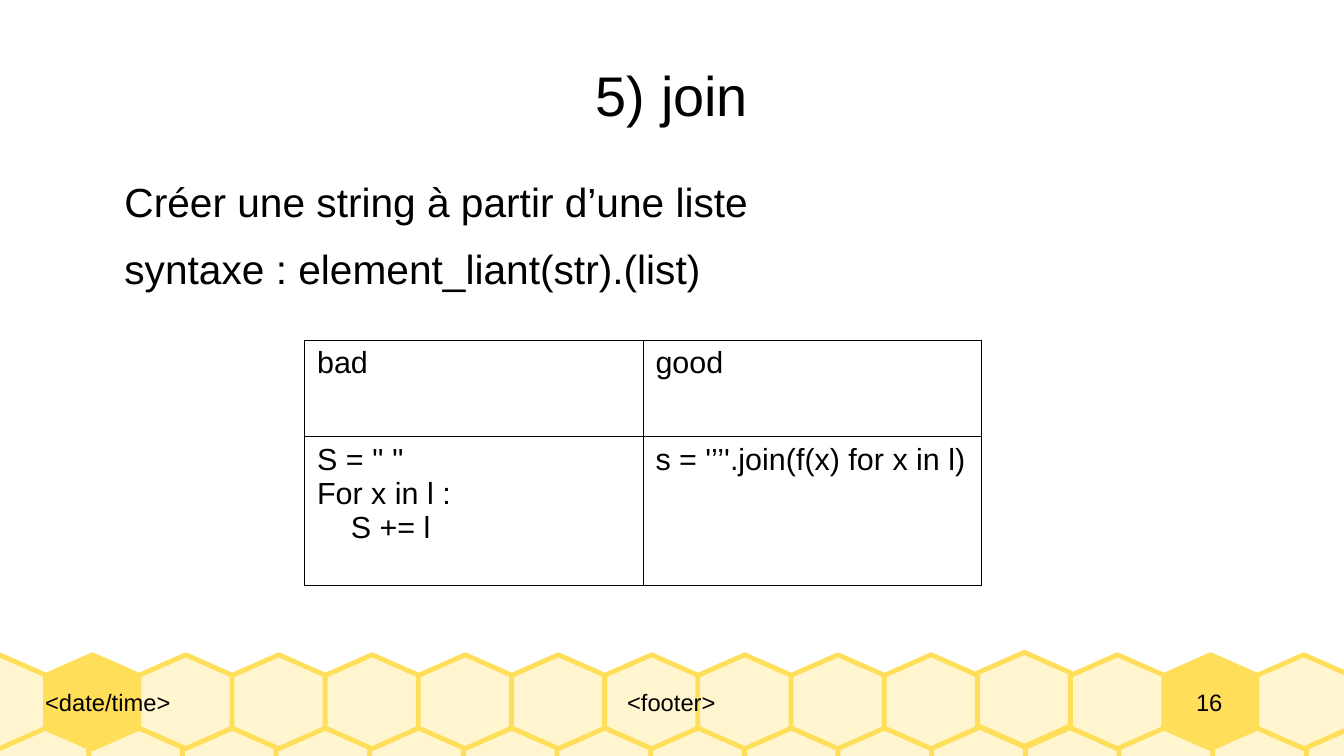
from lxml import etree
from pptx import Presentation
from pptx.dml.color import RGBColor
from pptx.enum import text
from pptx.oxml import ns
from pptx.util import Inches, Pt

BLACK = RGBColor(0x00, 0x00, 0x00)
HONEY = RGBColor(0xFF, 0xDE, 0x59)
CREAM = RGBColor(0xFF, 0xF5, 0xCE)

CELL_SIZE = 0.77
CELL_SHOULDER = 0.17
CELLS_PER_ROW = 15
FOOTER_TOP = 5.37

COMPARISON = [
    (["bad"], ["good"]),
    (["S = '' ''", "For x in l :", "    S += l"],
     ["s = '’’'.join(f(x) for x in l)"]),
]


def write(frame, lines, size, align=text.PP_ALIGN.LEFT, space_after=0):
    for index, line in enumerate(lines):
        paragraph = frame.paragraphs[0] if index == 0 else frame.add_paragraph()
        paragraph.alignment = align
        paragraph.space_after = Pt(space_after)
        run = paragraph.add_run()
        run.text = line
        run.font.name = "Arial"
        run.font.size = Pt(size)
        run.font.color.rgb = BLACK


def add_text(slide, box, lines, size, indent=0,
             anchor=text.MSO_ANCHOR.MIDDLE, **paragraph_format):
    frame = slide.shapes.add_textbox(*map(Inches, box)).text_frame
    frame.word_wrap = True
    frame.vertical_anchor = anchor
    frame.margin_left = Inches(indent)
    frame.margin_right = frame.margin_top = frame.margin_bottom = 0
    write(frame, lines, size, **paragraph_format)


def add_hexagon(slide, left, top, color):
    middle, right = left + CELL_SIZE / 2, left + CELL_SIZE
    shoulder, bottom = top + CELL_SHOULDER, top + CELL_SIZE
    hip = bottom - CELL_SHOULDER
    corners = [(middle, top), (left, shoulder), (left, hip),
               (middle, bottom), (right, hip), (right, shoulder)]
    points = [(Inches(x), Inches(y)) for x, y in corners]
    builder = slide.shapes.build_freeform(*points[0])
    builder.add_line_segments(points[1:], close=True)
    hexagon = builder.convert_to_shape()
    hexagon.shadow.inherit = False
    hexagon.fill.solid()
    hexagon.fill.fore_color.rgb = color
    hexagon.line.color.rgb = HONEY
    hexagon.line.width = Pt(2.83)


def add_honeycomb(slide):
    solid_cells, raised_cell = (1, 13), 11
    for column in range(CELLS_PER_ROW):
        add_hexagon(slide, -0.04 + 0.768 * column, 5.96, CREAM)
    for column in range(CELLS_PER_ROW):
        top = FOOTER_TOP - (0.02 if column == raised_cell else 0)
        color = HONEY if column in solid_cells else CREAM
        add_hexagon(slide, -0.39 + 0.764 * column, top, color)


def add_borders(cell):
    properties = cell._tc.get_or_add_tcPr()
    for side in ("lnL", "lnR", "lnT", "lnB"):
        border = etree.SubElement(properties, ns.qn(f"a:{side}"), w=str(Pt(0.57)))
        fill = etree.SubElement(border, ns.qn("a:solidFill"))
        etree.SubElement(fill, ns.qn("a:srgbClr"), val=str(BLACK))


def add_comparison(slide):
    table = slide.shapes.add_table(
        2, 2, Inches(2.5), Inches(2.79), Inches(5.55), Inches(2.01)).table
    table.first_row = table.horz_banding = False
    for row, height in zip(table.rows, (0.79, 1.22)):
        row.height = Inches(height)
    for row, snippets in zip(table.rows, COMPARISON):
        for cell, lines in zip(row.cells, snippets):
            add_borders(cell)
            cell.fill.background()
            write(cell.text_frame, lines, 18)


def main():
    deck = Presentation()
    deck.slide_width, deck.slide_height = Inches(11.02), Inches(6.2)
    slide = deck.slides.add_slide(deck.slide_layouts[6])
    center = text.PP_ALIGN.CENTER

    add_honeycomb(slide)
    add_text(slide, (0.37, FOOTER_TOP, 2.63, CELL_SIZE), ["<date/time>"], 14)
    add_text(slide, (3, FOOTER_TOP, 5.01, CELL_SIZE), ["<footer>"], 14, align=center)
    add_text(slide, (9.29, FOOTER_TOP, 1.25, CELL_SIZE), ["16"], 14, align=center)
    add_text(slide, (0.55, 0.25, 9.92, 1.04), ["5) join"], 33, align=center)
    add_text(slide, (0.55, 1.45, 9.92, 3.6),
             ["Créer une string à partir d’une liste",
              "syntaxe : element_liant(str).(list)"],
             24, indent=0.47, anchor=text.MSO_ANCHOR.TOP, space_after=10.6)
    add_comparison(slide)
    deck.save("out.pptx")


if __name__ == "__main__":
    main()
